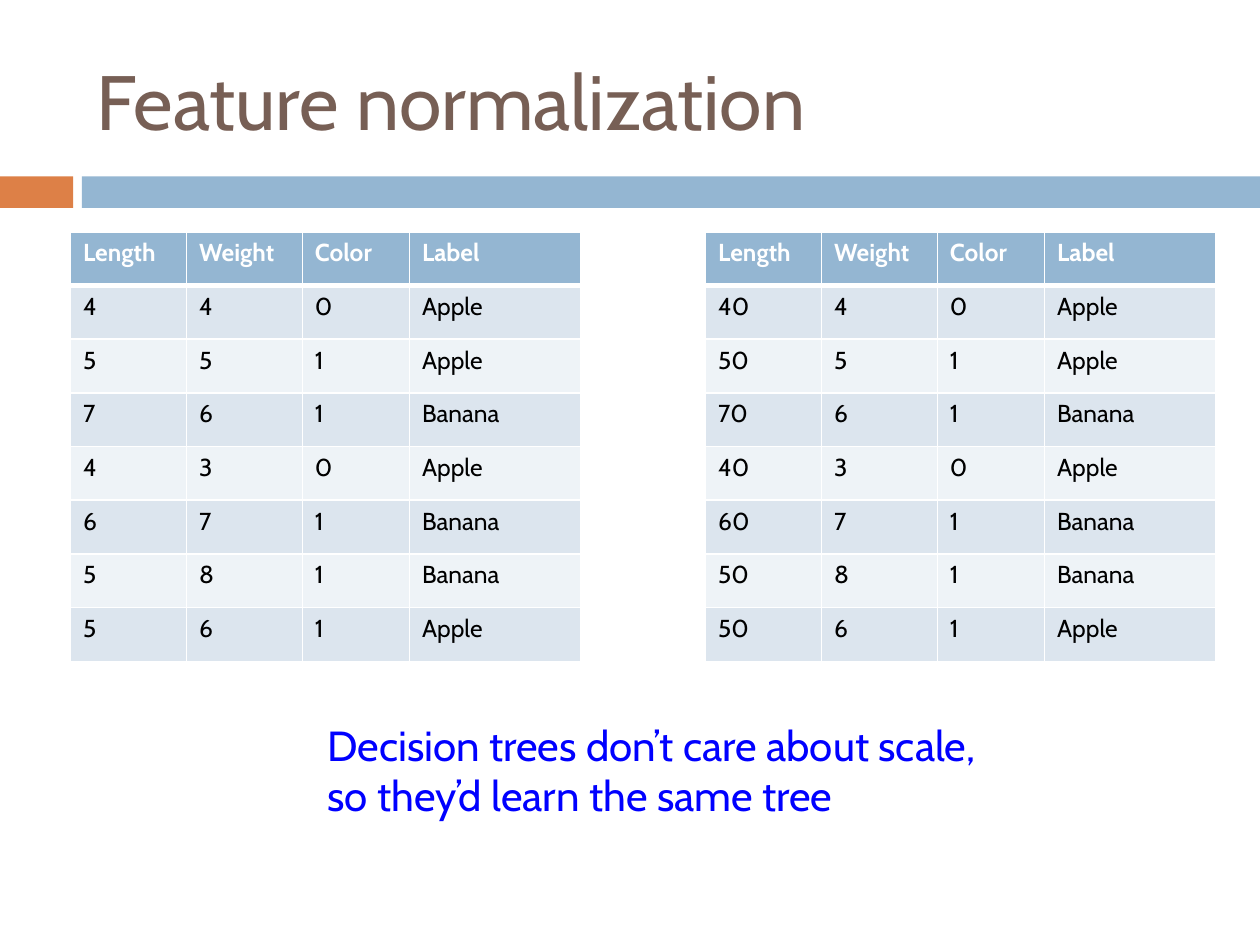
from lxml.etree import SubElement
from pptx import Presentation
from pptx.dml.color import RGBColor
from pptx.enum.shapes import MSO_SHAPE as Shape
from pptx.enum.text import MSO_ANCHOR as Anchor
from pptx.oxml.ns import qn
from pptx.util import Inches, Pt

TITLE = "Feature normalization"
NOTE = "Decision trees don’t care about scale, so they’d learn the same tree"
HEADER = ("Length", "Weight", "Color", "Label")
FRUITS = [
    (4, 4, 0, "Apple"),
    (5, 5, 1, "Apple"),
    (7, 6, 1, "Banana"),
    (4, 3, 0, "Apple"),
    (6, 7, 1, "Banana"),
    (5, 8, 1, "Banana"),
    (5, 6, 1, "Apple"),
]
LENGTH_SCALES = (1, 10)

FONT = "Cabin"
BLUE, ORANGE, BROWN = "94B6D2", "DD8047", "775F55"
WHITE, BLACK, NOTE_BLUE = "FFFFFF", "000000", "0000FF"
BANDS = ("DCE5EE", "EEF3F7")

WIDTH, HEIGHT = 10, 7.5
BAR_TOP, BAR_HEIGHT = 1.4, 0.25
ORANGE_END, BLUE_START = 0.58, 0.65
TABLE_LEFT, TABLE_TOP, TABLE_PITCH = 0.56, 1.84, 5.04
COLUMNS = (0.92, 0.92, 0.85, 1.36)
TABLE_HEIGHT = 3.41


def color(hex_code):
    return RGBColor.from_string(hex_code)


def style(frame, size, hex_code, bold=False):
    for paragraph in frame.paragraphs:
        for run in paragraph.runs:
            run.font.name = FONT
            run.font.size = Pt(size)
            run.font.bold = bold
            run.font.color.rgb = color(hex_code)


def add_bar(slide, left, right, hex_code):
    bar = slide.shapes.add_shape(
        Shape.RECTANGLE, Inches(left), Inches(BAR_TOP), Inches(right - left), Inches(BAR_HEIGHT)
    )
    bar.shadow.inherit = False
    bar.fill.solid()
    bar.fill.fore_color.rgb = color(hex_code)
    bar.line.fill.background()


def add_text(slide, box, text, size, hex_code, anchor=Anchor.TOP):
    frame = slide.shapes.add_textbox(*map(Inches, box)).text_frame
    frame.word_wrap = True
    frame.vertical_anchor = anchor
    frame.text = text
    style(frame, size, hex_code)


def add_borders(cell, top, bottom):
    properties = cell._tc.get_or_add_tcPr()
    for side, points in (("L", 1), ("R", 1), ("T", top), ("B", bottom)):
        line = SubElement(properties, qn(f"a:ln{side}"), w=str(Pt(points)))
        SubElement(SubElement(line, qn("a:solidFill")), qn("a:srgbClr"), val=WHITE)


def add_fruit_table(slide, left, scale):
    rows = [HEADER] + [(length * scale, *rest) for length, *rest in FRUITS]
    table = slide.shapes.add_table(
        len(rows), len(HEADER), Inches(left), Inches(TABLE_TOP),
        Inches(sum(COLUMNS)), Inches(TABLE_HEIGHT),
    ).table
    for column, width in zip(table.columns, COLUMNS):
        column.width = Inches(width)
    for r, row in enumerate(rows):
        is_header = r == 0
        for c, value in enumerate(row):
            cell = table.cell(r, c)
            cell.text = str(value)
            style(cell.text_frame, 14, WHITE if is_header else BLACK, is_header)
            add_borders(cell, top=3 if r == 1 else 1, bottom=3 if is_header else 1)
            cell.fill.solid()
            cell.fill.fore_color.rgb = color(BLUE if is_header else BANDS[(r - 1) % 2])


def main():
    deck = Presentation()
    deck.slide_width, deck.slide_height = Inches(WIDTH), Inches(HEIGHT)
    slide = deck.slides.add_slide(deck.slide_layouts[6])
    add_bar(slide, 0, ORANGE_END, ORANGE)
    add_bar(slide, BLUE_START, WIDTH, BLUE)
    add_text(slide, (0.67, 0.25, 8.92, 1.08), TITLE, 44, BROWN, Anchor.MIDDLE)
    for i, scale in enumerate(LENGTH_SCALES):
        add_fruit_table(slide, TABLE_LEFT + i * TABLE_PITCH, scale)
    add_text(slide, (2.5, 5.66, 5.5, 0.91), NOTE, 24, NOTE_BLUE)
    deck.save("out.pptx")


if __name__ == "__main__":
    main()
